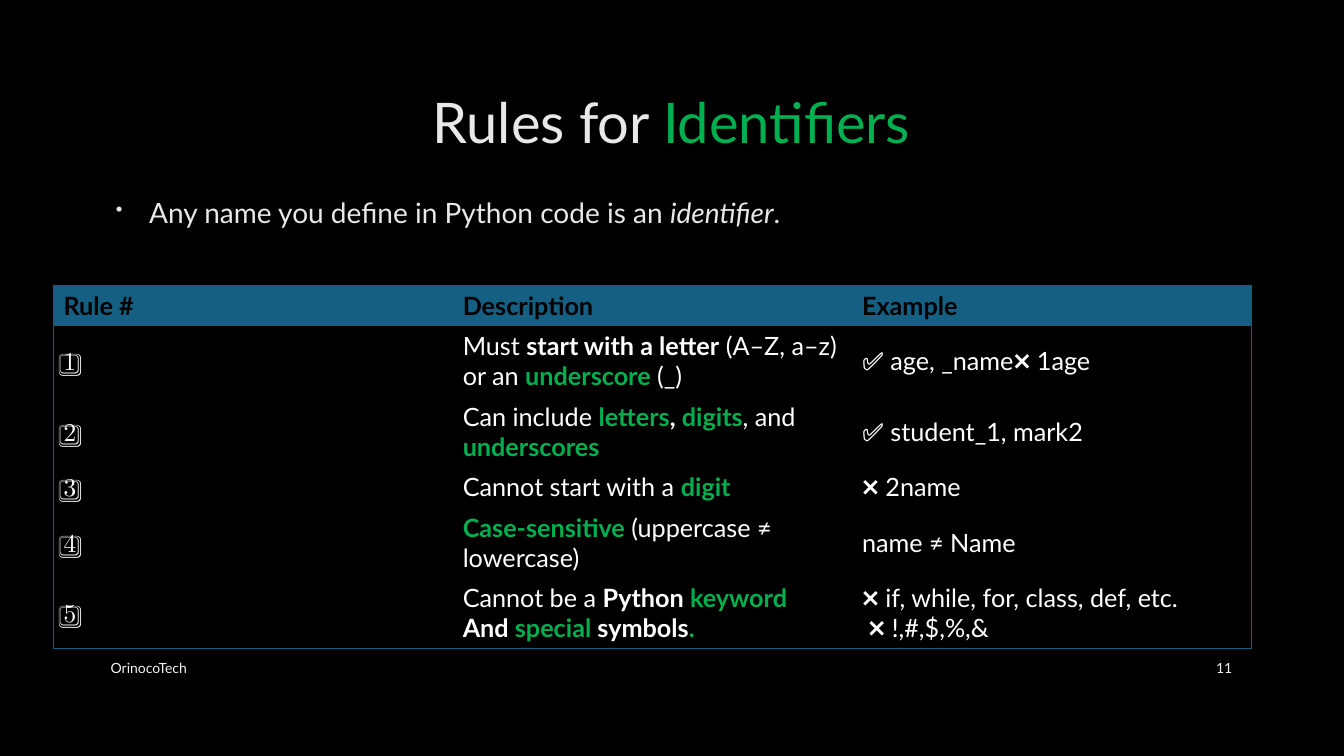
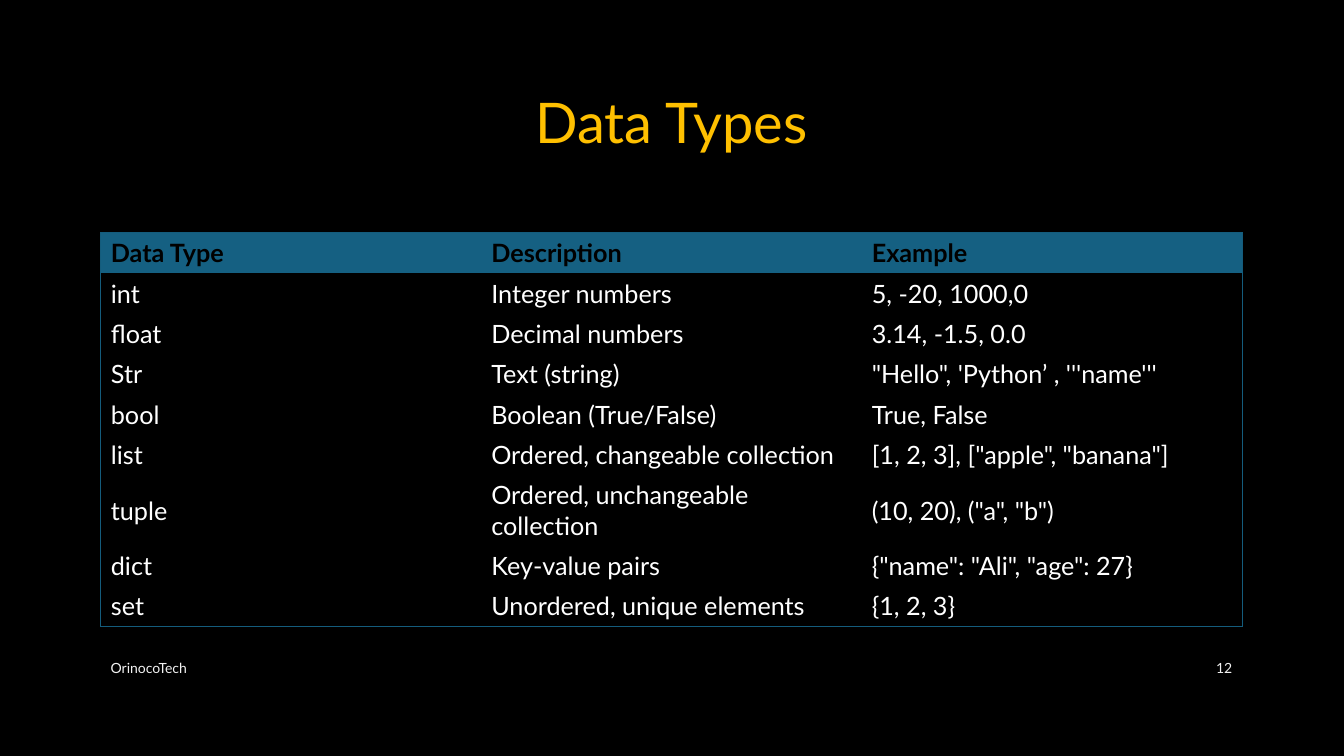
import lxml.etree
import pptx
import pptx.dml.color
import pptx.enum.text
import pptx.oxml.ns
import pptx.util

Inches = pptx.util.Inches
Pt = pptx.util.Pt
ALIGN = pptx.enum.text.PP_ALIGN
ANCHOR = pptx.enum.text.MSO_ANCHOR
qn = pptx.oxml.ns.qn

COLORS = {
    "back": "000000", "pale": "E8E8E8", "foot": "F2F2F2", "white": "FFFFFF",
    "black": "000000", "green": "00B050", "gold": "FFC000",
    "head": "156082", "edge": "145C7C",
}

# Text formats: base looks, then changes for single runs
TITLE = {"name": "Lato", "size": Pt(40), "color": "pale"}
BODY = {"name": "Lato", "size": Pt(20), "color": "pale"}
CELL = {"name": "Lato", "size": Pt(18), "color": "white", "bold": False}
HEAD = {**CELL, "color": "black", "bold": True}
FOOT = {"name": "Lato", "size": Pt(10), "color": "foot"}
MARKS = {
    "bold": {"bold": True},
    "key": {"bold": True, "color": "green"},
    "green": {"color": "green"},
    "gold": {"color": "gold"},
    "slant": {"italic": True},
}

BRAND = "OrinocoTech"
ROW = 0.4
TALL = 0.7


def rgb(key):
    return pptx.dml.color.RGBColor.from_string(COLORS[key])


def style(font, look):
    for key, val in look.items():
        if key == "color":
            font.color.rgb = rgb(val)
        else:
            setattr(font, key, val)


def write(frame, paras, look, align=ALIGN.LEFT):
    """Fill a frame; each paragraph is a list of strings or (text, mark)."""
    for num, runs in enumerate(paras):
        para = frame.add_paragraph() if num else frame.paragraphs[0]
        para.alignment = align
        for item in runs:
            text, mark = (item, None) if isinstance(item, str) else item
            run = para.add_run()
            run.text = text
            style(run.font, {**look, **MARKS.get(mark, {})})


def label(slide, box, runs, look, align=ALIGN.LEFT, anchor=ANCHOR.MIDDLE):
    shape = slide.shapes.add_textbox(*map(Inches, box))
    frame = shape.text_frame
    frame.word_wrap = True
    frame.vertical_anchor = anchor
    write(frame, [runs], look, align)
    return frame


def bullet(slide, box, runs):
    frame = label(slide, box, runs, BODY, anchor=ANCHOR.TOP)
    props = frame.paragraphs[0]._p.get_or_add_pPr()
    props.set("marL", str(Inches(0.38)))
    props.set("indent", str(Inches(-0.33)))
    tint = lxml.etree.SubElement(props, qn("a:buClr"))
    lxml.etree.SubElement(tint, qn("a:srgbClr"), val=COLORS["pale"])
    lxml.etree.SubElement(props, qn("a:buSzPct"), val="70000")
    lxml.etree.SubElement(props, qn("a:buChar"), char="•")


def border(cell, sides):
    """Draw the named sides (of L, R, T, B) and clear the others."""
    props = cell._tc.get_or_add_tcPr()
    for num, side in enumerate("LRTB"):
        line = lxml.etree.Element(qn("a:ln" + side), w=str(Pt(0.75)))
        if side in sides:
            fill = lxml.etree.SubElement(line, qn("a:solidFill"))
            lxml.etree.SubElement(fill, qn("a:srgbClr"), val=COLORS["edge"])
        else:
            lxml.etree.SubElement(line, qn("a:noFill"))
        props.insert(num, line)


def grid(slide, left, top, width, rows, tall):
    """Table with a filled header and an outer frame; tall rows hold two lines."""
    highs = [TALL if num in tall else ROW for num in range(len(rows))]
    count = len(rows[0])
    table = slide.shapes.add_table(
        len(rows), count, *map(Inches, (left, top, width, sum(highs)))).table
    table.horz_banding = False
    for col in table.columns:
        col.width = Inches(width / count)
    for r, (row, high) in enumerate(zip(rows, highs)):
        table.rows[r].height = Inches(high)
        for c, item in enumerate(row):
            cell = table.cell(r, c)
            cell.vertical_anchor = ANCHOR.MIDDLE
            if r:
                cell.fill.background()
            else:
                cell.fill.solid()
                cell.fill.fore_color.rgb = rgb("head")
            ends = {"L": c == 0, "R": c == count - 1,
                    "T": r == 0, "B": r == len(rows) - 1}
            border(cell, [side for side, on in ends.items() if on])
            paras = [[item]] if isinstance(item, str) else item
            write(cell.text_frame, paras, CELL if r else HEAD)


def page(deck, title, number):
    """Background, title and footer that every slide shares."""
    slide = deck.slides.add_slide(deck.slide_layouts[6])
    slide.background.fill.solid()
    slide.background.fill.fore_color.rgb = rgb("back")
    label(slide, (1, 0.67, 11.32, 1.06), title, TITLE, ALIGN.CENTER)
    label(slide, (1, 6.43, 7.3, 0.4), [BRAND], FOOT)
    label(slide, (11.5, 6.43, 0.82, 0.4), [str(number)], FOOT, ALIGN.RIGHT)
    return slide


def rules(deck):
    slide = page(deck, ["Rules for ", ("Identifiers", "green")], 11)
    bullet(slide, (1, 1.89, 11.32, 4.44), [
        "Any name you define in Python code is an ", ("identifier", "slant"), "."])
    rows = [
        ("Rule #", "Description", "Example"),
        ("1️⃣",
         [["Must ", ("start with a letter", "bold"), " (A–Z, a–z) or an ",
           ("underscore", "key"), " (_)"]],
         "✅ age, _name❌ 1age"),
        ("2️⃣",
         [["Can include ", ("letters", "key"), (", ", "bold"),
           ("digits", "key"), ", and ", ("underscores", "key")]],
         "✅ student_1, mark2"),
        ("3️⃣", [["Cannot start with a ", ("digit", "key")]], "❌ 2name"),
        ("4️⃣",
         [[("Case-sensitive", "key"), " (uppercase ≠ lowercase)"]],
         "name ≠ Name"),
        ("5️⃣",
         [["Cannot be a ", ("Python ", "bold"), ("keyword", "key")],
          [("And", "bold"), (" special ", "key"), ("symbols", "bold"),
           (".", "key")]],
         [["❌ if, while, for, class, def, etc."], [" ❌ !,#,$,%,&"]]),
    ]
    grid(slide, 0.53, 2.83, 11.88, rows, tall={1, 2, 4, 5})


def types(deck):
    slide = page(deck, [("Data Types", "gold")], 12)
    rows = [
        ("Data Type", "Description", "Example"),
        ("int", "Integer numbers", "5, -20, 1000,0"),
        ("float", "Decimal numbers", "3.14, -1.5, 0.0"),
        ("Str", "Text (string)", "\"Hello\", 'Python’ , '''name'''"),
        ("bool", "Boolean (True/False)", "True, False"),
        ("list", "Ordered, changeable collection",
         '[1, 2, 3], ["apple", "banana"]'),
        ("tuple", "Ordered, unchangeable collection", '(10, 20), ("a", "b")'),
        ("dict", "Key-value pairs", '{"name": "Ali", "age": 27}'),
        ("set", "Unordered, unique elements", "{1, 2, 3}"),
    ]
    grid(slide, 1, 2.31, 11.32, rows, tall={6})


def main():
    deck = pptx.Presentation()
    deck.slide_width = Inches(13.33)
    deck.slide_height = Inches(7.5)
    rules(deck)
    types(deck)
    deck.save("out.pptx")


if __name__ == "__main__":
    main()
